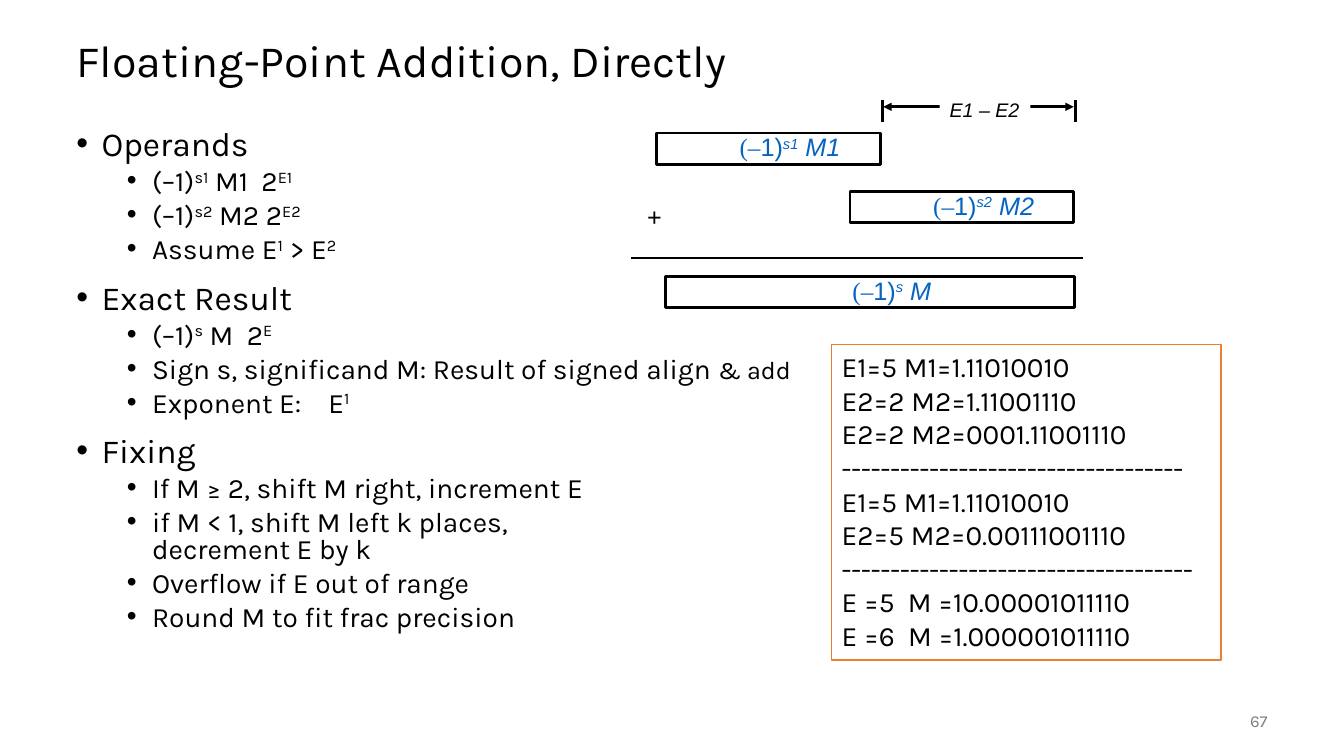
from lxml import etree
from pptx import Presentation
from pptx.dml.color import RGBColor
from pptx.enum.shapes import MSO_CONNECTOR as CONNECTOR, MSO_SHAPE as SHAPE
from pptx.enum.text import MSO_ANCHOR as ANCHOR, PP_ALIGN as ALIGN
from pptx.oxml.ns import qn
from pptx.util import Inches, Pt

BLACK = RGBColor(0x00, 0x00, 0x00)
WHITE = RGBColor(0xFF, 0xFF, 0xFF)
GRAY = RGBColor(0x80, 0x80, 0x80)
BLUE = RGBColor(0x05, 0x63, 0xC1)
ORANGE = RGBColor(0xED, 0x7D, 0x31)

# Content: a paragraph is a list of runs, a run is (text, format changes);
# text between two ^ marks is superscript
TITLE = "Floating-Point Addition, Directly"
PAGE = "67"
OUTLINE = [
    ("Operands", [
        "(–1)^s1^ M1  2^E1^",
        "(–1)^s2^ M2 2^E2^",
        "Assume E^1^ > E^2^",
    ]),
    ("Exact Result", [
        "(–1)^s^ M  2^E^",
        [("Sign s, significand M: Result of signed align ", {}), ("& add", {"size": 18})],
        "Exponent E: \tE^1^",
    ]),
    ("Fixing", [
        "If M ≥ 2, shift M right, increment E",
        "if M < 1, shift M left k places, \ndecrement E by k",
        "Overflow if E out of range",
        "Round M to fit frac precision",
    ]),
]
# Sign exponent, significand, left, top, width
TERMS = [
    ("s1", "M1", 6.51, 1.32, 2.22),
    ("s2", "M2", 8.43, 1.9, 2.22),
    ("s", "M", 6.6, 2.74, 4.06),
]
TERM_HEIGHT = 0.31
SHIFT_LEFT, SHIFT_RIGHT = 8.75, 10.67
EXAMPLE = [
    "E1=5 M1=1.11010010",
    "E2=2 M2=1.11001110",
    "E2=2 M2=0001.11001110",
    "-" * 35,
    "E1=5 M1=1.11010010",
    "E2=5 M2=0.00111001110",
    "-" * 36,
    "E =5  M =10.00001011110",
    "E =6  M =1.000001011110",
]

prs = Presentation()
prs.slide_width, prs.slide_height = Inches(13.33), Inches(7.5)
slide = prs.slides.add_slide(prs.slide_layouts[6])


def write(paragraph, content, *, size=20, font="Karla", color=BLACK, italic=False,
          align=ALIGN.LEFT, spacing=1.0, before=0, indent=0, bullet=False):
    paragraph.alignment = align
    paragraph.line_spacing = spacing
    paragraph.space_before = Pt(before)
    properties = paragraph._p.get_or_add_pPr()
    properties.set("marL", str(Inches(indent)))
    if bullet:
        properties.set("indent", str(-Inches(0.25)))
        etree.SubElement(properties, qn("a:buFont")).set("typeface", "Arial")
        etree.SubElement(properties, qn("a:buChar")).set("char", "•")
    runs = [(content, {})] if isinstance(content, str) else content
    for text, changes in runs:
        style = {"size": size, "font": font, "italic": italic} | changes
        for part_number, part in enumerate(text.split("^")):
            for line_number, line in enumerate(part.split("\n")):
                if line_number:
                    paragraph.add_line_break()
                if not line:
                    continue
                run = paragraph.add_run()
                run.text = line
                run.font.size = Pt(style["size"])
                run.font.name = style["font"]
                run.font.italic = style["italic"]
                run.font.color.rgb = color
                if part_number % 2:
                    run.font._element.set("baseline", "30000")


def text_frame(left, top, width, height, anchor=ANCHOR.TOP, wrap=True):
    box = slide.shapes.add_textbox(Inches(left), Inches(top), Inches(width), Inches(height))
    box.text_frame.word_wrap = wrap
    box.text_frame.vertical_anchor = anchor
    return box.text_frame


def rect_frame(left, top, width, height, line=None, line_width=2, anchor=ANCHOR.MIDDLE):
    rect = slide.shapes.add_shape(SHAPE.RECTANGLE, Inches(left), Inches(top),
                                  Inches(width), Inches(height))
    rect.shadow.inherit = False
    rect.fill.solid()
    rect.fill.fore_color.rgb = WHITE
    if line is None:
        rect.line.fill.background()
    else:
        rect.line.color.rgb = line
        rect.line.width = Pt(line_width)
    rect.text_frame.word_wrap = False
    rect.text_frame.vertical_anchor = anchor
    return rect.text_frame


def rule(x1, y1, x2, y2, arrows=False):
    connector = slide.shapes.add_connector(CONNECTOR.STRAIGHT, Inches(x1), Inches(y1),
                                           Inches(x2), Inches(y2))
    connector.line.color.rgb = BLACK
    connector.line.width = Pt(2)
    if arrows:
        line = connector.line._get_or_add_ln()
        for end in ("a:headEnd", "a:tailEnd"):
            etree.SubElement(line, qn(end)).set("type", "triangle")
    etree.SubElement(connector._element.spPr, qn("a:effectLst"))


def paragraphs(frame, count):
    return [frame.paragraphs[0]] + [frame.add_paragraph() for _ in range(count - 1)]


# Title
write(text_frame(0.66, 0.25, 12, 0.75, ANCHOR.MIDDLE).paragraphs[0], TITLE,
      size=32, spacing=0.9)

# Outline
entries = []
for heading, points in OUTLINE:
    entries.append((heading, {"size": 24, "before": 14 if entries else 0, "indent": 0.25}))
    entries += [(point, {"before": 5, "indent": 0.75}) for point in points]
outline = text_frame(0.66, 1.25, 12, 5.5)
for paragraph, (content, look) in zip(paragraphs(outline, len(entries)), entries):
    write(paragraph, content, spacing=0.8, bullet=True, **look)

# Aligned terms of the sum
for sign, significand, left, top, width in TERMS:
    term = rect_frame(left, top, width, TERM_HEIGHT, BLACK)
    write(term.paragraphs[0],
          [("(–", {"font": "Times New Roman"}), ("1)", {}),
           (f"^{sign}^ {significand} ", {"italic": True})],
          size=18, font="Arial", color=BLUE, align=ALIGN.CENTER, spacing=0.9, indent=0.5)
write(text_frame(6.32, 1.95, 0.34, 0.4, wrap=False).paragraphs[0], "+",
      size=18, font="Arial")
rule(6.26, 2.56, 10.74, 2.56)

# Exponent difference
for x in (SHIFT_LEFT, SHIFT_RIGHT):
    rule(x, 0.99, x, 1.21)
rule(SHIFT_LEFT + 0.01, 1.06, SHIFT_RIGHT - 0.02, 1.06, arrows=True)
write(rect_frame(9.32, 0.92, 0.9, 0.33, anchor=ANCHOR.TOP).paragraphs[0], "E1 – E2",
      size=14, font="Arial", italic=True)

# Worked example
example = rect_frame(8.25, 3.42, 3.86, 3.13, ORANGE, 1, ANCHOR.TOP)
for paragraph, step in zip(paragraphs(example, len(EXAMPLE)), EXAMPLE):
    write(paragraph, step)

# Page number
write(text_frame(11.67, 6.95, 1, 0.4, ANCHOR.MIDDLE).paragraphs[0], PAGE,
      size=12, color=GRAY, align=ALIGN.RIGHT)

prs.save("out.pptx")
